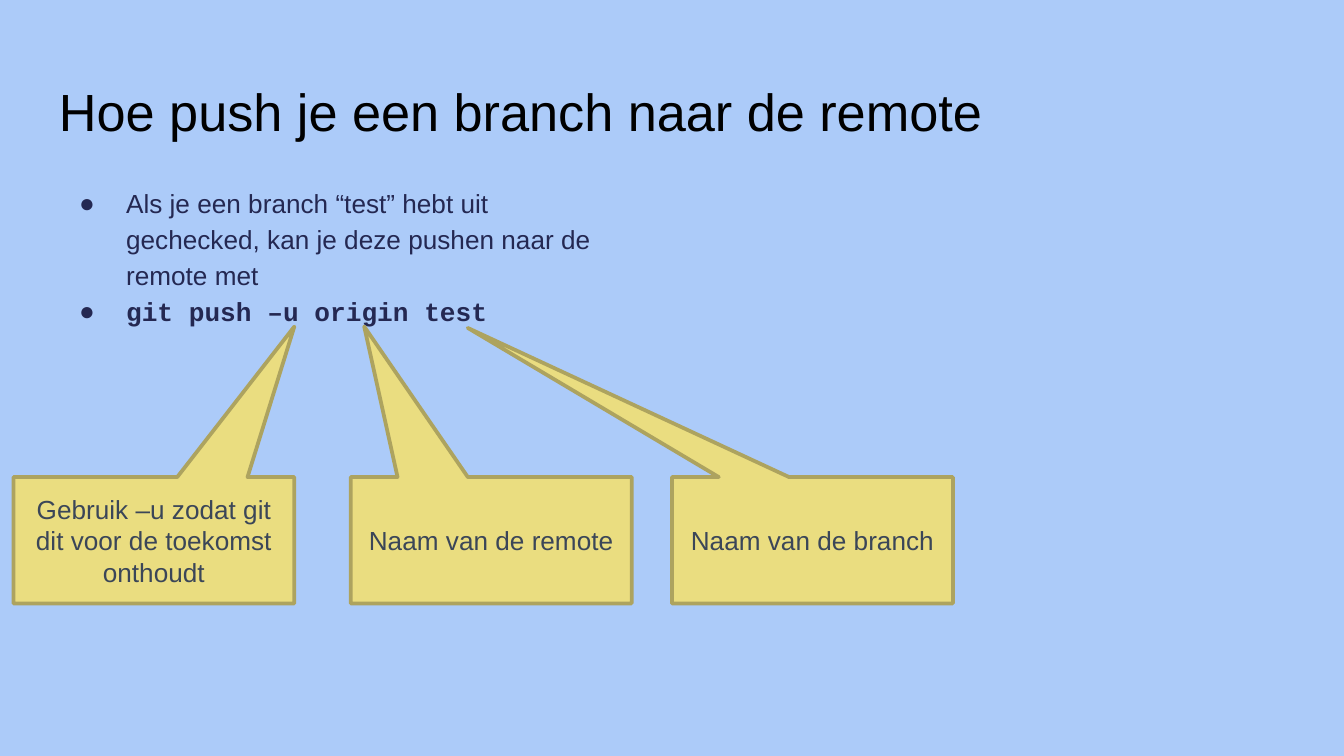
from typing import NamedTuple

from lxml import etree
from pptx import Presentation
from pptx.dml.color import RGBColor
from pptx.enum.shapes import MSO_SHAPE
from pptx.enum.text import MSO_ANCHOR, PP_ALIGN
from pptx.oxml.ns import qn
from pptx.util import Inches, Pt

CALLOUT = MSO_SHAPE.RECTANGULAR_CALLOUT
MIDDLE = MSO_ANCHOR.MIDDLE
CENTER = PP_ALIGN.CENTER

BACKGROUND, BLACK, NAVY = "ACCBF9", "000000", "242852"
YELLOW, OLIVE, SLATE = "EADD80", "ADA35F", "3B4658"

TITLE_SIZE, TEXT_SIZE = 28, 14
CALLOUT_TOP, CALLOUT_WIDTH, CALLOUT_HEIGHT = 3.55, 2.09, 0.94


class Bullet(NamedTuple):
    text: str
    font: str
    bold: bool


class Callout(NamedTuple):
    text: str
    left: float
    tip_x: float
    tip_y: float


BULLETS = [
    Bullet("Als je een branch “test” hebt uit gechecked, kan je deze pushen "
           "naar de remote met", "Arial", False),
    Bullet("git push –u origin test", "Courier New", True),
]

CALLOUTS = [
    Callout("Gebruik –u zodat git dit voor de toekomst onthoudt", 0.1, 2.19, 2.43),
    Callout("Naam van de remote", 2.61, 2.71, 2.43),
    Callout("Naam van de branch", 5, 3.48, 2.44),
]


def rgb(color: str) -> RGBColor:
    return RGBColor.from_string(color)


def style(p, size: float, color: str, font: str = "Arial", bold: bool = False) -> None:
    p.font.name = font
    p.font.size = Pt(size)
    p.font.bold = bold
    p.font.color.rgb = rgb(color)


def add_text_frame(s, left: float, top: float, width: float, height: float):
    tf = s.shapes.add_textbox(
        Inches(left), Inches(top), Inches(width), Inches(height)).text_frame
    tf.word_wrap = True
    tf.margin_left = tf.margin_right = Inches(0.1)
    tf.margin_top = tf.margin_bottom = Inches(0.1)
    return tf


def set_bullet(p, char: str, size: int, color: str) -> None:
    """Give the paragraph a hanging indent and a coloured bullet."""
    pPr = p._p.get_or_add_pPr()
    pPr.set("marL", str(Inches(0.5)))
    pPr.set("indent", str(Inches(-0.35)))
    buClr = etree.Element(qn("a:buClr"))
    etree.SubElement(buClr, qn("a:srgbClr"), val=color)
    buSzPts = etree.Element(qn("a:buSzPts"), val=str(size * 100))
    buFont = etree.Element(qn("a:buFont"), typeface="Arial")
    buChar = etree.Element(qn("a:buChar"), char=char)
    # Bullet settings come directly after the line spacing.
    for position, element in enumerate((buClr, buSzPts, buFont, buChar), start=1):
        pPr.insert(position, element)


def add_bullets(s, bullets: list[Bullet]) -> None:
    tf = add_text_frame(s, 0.34, 1.26, 4.37, 1.29)
    for i, bullet in enumerate(bullets):
        p = tf.add_paragraph() if i else tf.paragraphs[0]
        p.text = bullet.text
        p.line_spacing = 1.15
        set_bullet(p, "●", TEXT_SIZE, NAVY)
        style(p, TEXT_SIZE, NAVY, bullet.font, bullet.bold)


def add_callout(s, callout: Callout) -> None:
    sp = s.shapes.add_shape(
        CALLOUT, Inches(callout.left), Inches(CALLOUT_TOP),
        Inches(CALLOUT_WIDTH), Inches(CALLOUT_HEIGHT))
    # The tip is measured from the centre, as a share of the box size.
    sp.adjustments[0] = (callout.tip_x - callout.left) / CALLOUT_WIDTH - 0.5
    sp.adjustments[1] = (callout.tip_y - CALLOUT_TOP) / CALLOUT_HEIGHT - 0.5
    sp.shadow.inherit = False
    sp.fill.solid()
    sp.fill.fore_color.rgb = rgb(YELLOW)
    sp.line.color.rgb = rgb(OLIVE)
    sp.line.width = Pt(2)
    tf = sp.text_frame
    tf.word_wrap = True
    tf.vertical_anchor = MIDDLE
    p = tf.paragraphs[0]
    p.text = callout.text
    p.alignment = CENTER
    style(p, TEXT_SIZE, SLATE)


def main() -> None:
    prs = Presentation()
    prs.slide_width = Inches(10)
    prs.slide_height = Inches(10) * 9 // 16
    s = prs.slides.add_slide(prs.slide_layouts[6])
    s.background.fill.solid()
    s.background.fill.fore_color.rgb = rgb(BACKGROUND)

    title = add_text_frame(s, 0.34, 0.49, 9.32, 0.63).paragraphs[0]
    title.text = "Hoe push je een branch naar de remote"
    style(title, TITLE_SIZE, BLACK)

    add_bullets(s, BULLETS)
    for callout in CALLOUTS:
        add_callout(s, callout)
    prs.save("out.pptx")


if __name__ == "__main__":
    main()
